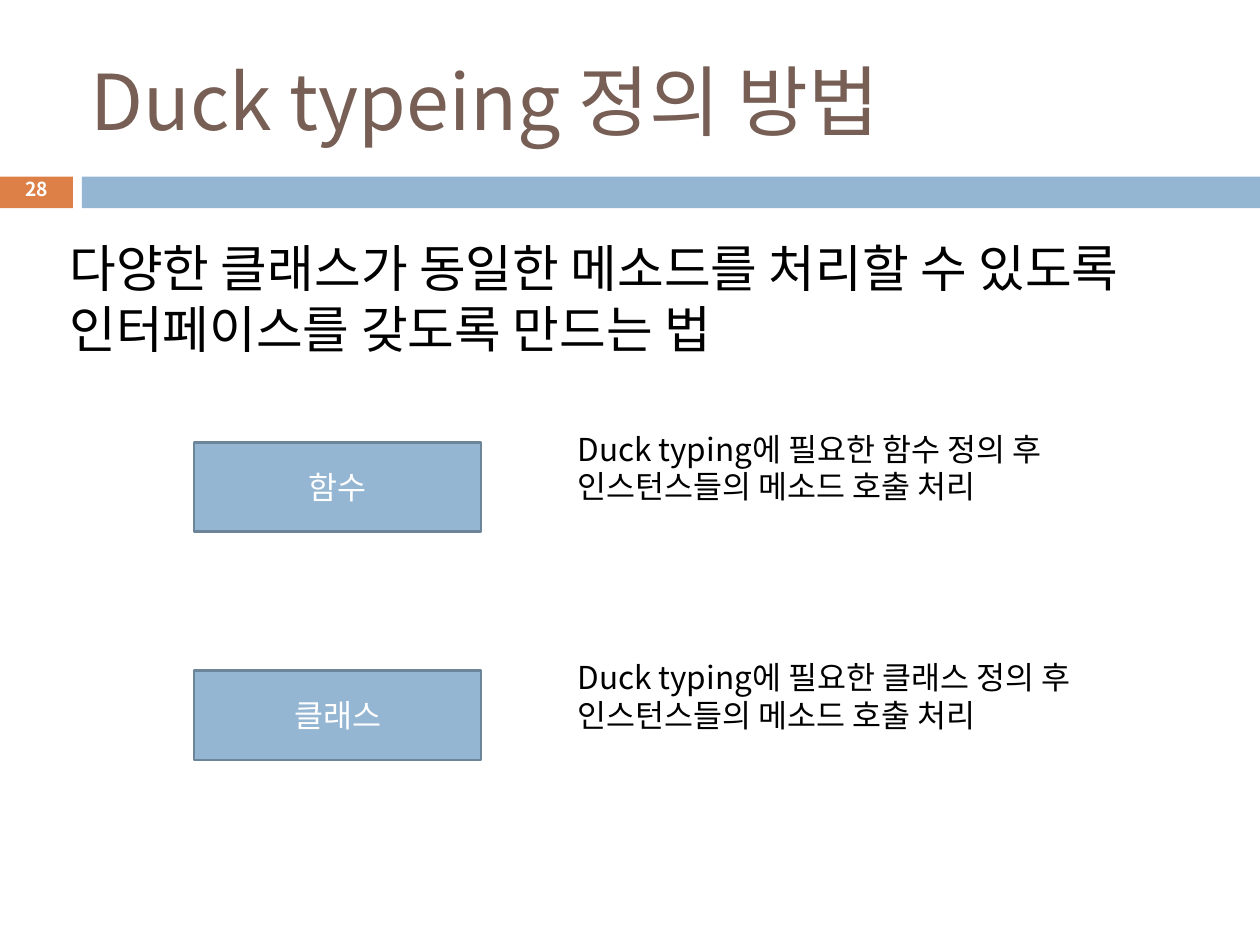
from lxml.etree import SubElement
from pptx import Presentation
from pptx.dml.color import RGBColor
from pptx.enum.shapes import MSO_SHAPE
from pptx.enum.text import MSO_ANCHOR, MSO_AUTO_SIZE, PP_ALIGN
from pptx.oxml.ns import qn
from pptx.util import Cm, Pt

FONT = "Noto Sans CJK KR"
COLORS = {
    "title": "775F55",
    "text": "000000",
    "light": "FFFFFF",
    "blue": "94B6D2",
    "edge": "6C8599",
    "orange": "DD8047",
}
ROWS = [
    ("함수", "Duck typing에 필요한 함수 정의 후 인스턴스들의 메소드 호출 처리"),
    ("클래스", "Duck typing에 필요한 클래스 정의 후 인스턴스들의 메소드 호출 처리"),
]
TOP = 8.92
PITCH = 4.6


def color(name):
    return RGBColor.from_string(COLORS[name])


def place(shape, x, y, w, h):
    shape.left, shape.top = Cm(x), Cm(y)
    shape.width, shape.height = Cm(w), Cm(h)


def write(shape, text, size, ink, align=PP_ALIGN.LEFT,
          anchor=MSO_ANCHOR.TOP, wrap=True, bold=False):
    frame = shape.text_frame
    frame.text = text
    frame.word_wrap = wrap
    frame.auto_size = MSO_AUTO_SIZE.NONE
    frame.vertical_anchor = anchor
    frame.margin_left = frame.margin_right = Cm(0.13)
    frame.margin_top = frame.margin_bottom = Cm(0.13)
    para = frame.paragraphs[0]
    para.alignment = align
    para.space_before = Pt(0)
    props = para._p.get_or_add_pPr()
    props.set("marL", "0")
    props.set("indent", "0")
    SubElement(props, qn("a:buNone"))
    font = para.font
    font.name = FONT
    font.size = Pt(size)
    font.bold = bold
    font.color.rgb = color(ink)
    SubElement(font._element, qn("a:ea")).set("typeface", FONT)
    return para


def add_rect(shapes, x, y, w, h, fill, edge=None):
    rect = shapes.add_shape(MSO_SHAPE.RECTANGLE, Cm(x), Cm(y), Cm(w), Cm(h))
    rect.shadow.inherit = False
    rect.fill.solid()
    rect.fill.fore_color.rgb = color(fill)
    if edge:
        rect.line.color.rgb = color(edge)
        rect.line.width = Pt(1.5)
    else:
        rect.line.fill.background()


def add_text(shapes, x, y, w, h, text, size, ink, **style):
    box = shapes.add_textbox(Cm(x), Cm(y), Cm(w), Cm(h))
    return write(box, text, size, ink, **style)


def add_row(shapes, y, label, note):
    group = shapes.add_group_shape().shapes
    add_rect(group, 3.91, y, 5.79, 1.8, "blue", "edge")
    add_text(group, 3.91, y + 0.39, 5.79, 1.02, label, 18, "light",
             align=PP_ALIGN.CENTER, anchor=MSO_ANCHOR.MIDDLE)
    add_text(shapes, 11.51, y - 0.39, 11.4, 1.8, note, 18, "text")


def main():
    deck = Presentation()
    deck.slide_width, deck.slide_height = Cm(25.4), Cm(19.05)
    slide = deck.slides.add_slide(deck.slide_layouts[1])
    shapes = slide.shapes

    title, body = slide.placeholders
    place(title, 1.7, 0.64, 22.66, 2.74)
    write(title, "Duck typeing 정의 방법", 44, "title", anchor=MSO_ANCHOR.MIDDLE)
    place(body, 1.27, 4.65, 22.86, 3.68)
    write(body, "다양한 클래스가 동일한 메소드를 처리할 수 있도록 인터페이스를 갖도록 만드는 법",
          29, "text")

    add_rect(shapes, 0, 3.56, 1.47, 0.64, "orange")
    add_rect(shapes, 1.65, 3.56, 23.75, 0.64, "blue")
    number = add_text(shapes, 0.38, 3.48, 0.71, 0.76, "28", 11, "light",
                      align=PP_ALIGN.CENTER, anchor=MSO_ANCHOR.MIDDLE,
                      wrap=False, bold=True)
    number.line_spacing = 0.8

    for i, (label, note) in enumerate(ROWS):
        add_row(shapes, TOP + i * PITCH, label, note)

    deck.save("out.pptx")


if __name__ == "__main__":
    main()
